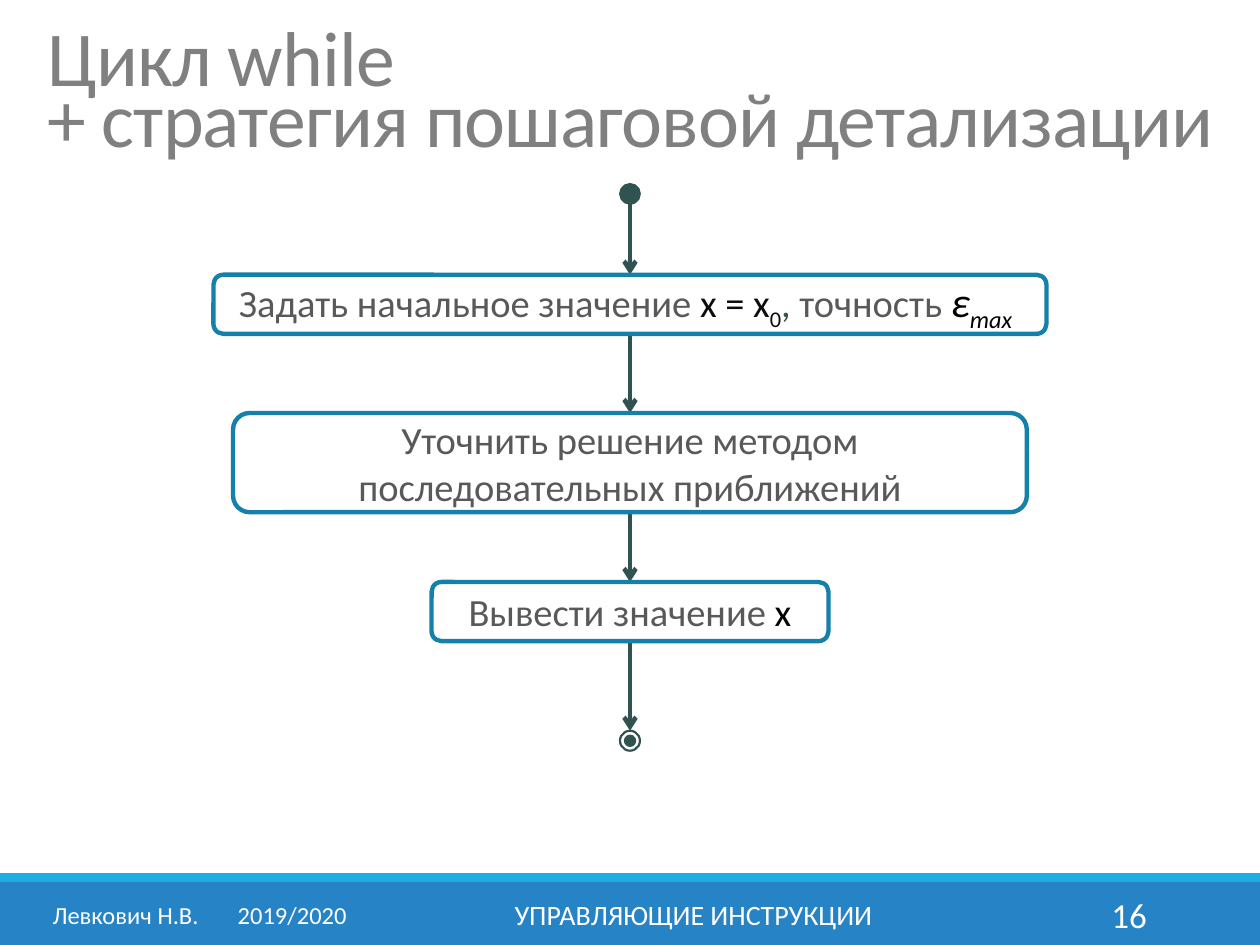
from pptx import Presentation
from pptx.util import Pt
from pptx.dml.color import RGBColor
from pptx.enum.shapes import MSO_SHAPE as SHAPE, MSO_CONNECTOR as CONN
from pptx.enum.text import PP_ALIGN as ALIGN, MSO_ANCHOR as ANCHOR
from pptx.oxml.ns import qn
from lxml.etree import SubElement

COLORS = {
    "white": "FFFFFF", "black": "000000", "near_black": "0D0D0D",
    "title": "808080", "text": "595959", "dark": "305250",
    "border": "1580A9", "footer": "2683C6", "stripe": "1CADE4",
}
FONT = "Calibri"
CENTER = 360

prs = Presentation()
prs.slide_width, prs.slide_height = Pt(720), Pt(540)
s = prs.slides.add_slide(prs.slide_layouts[6])


def add_shape(kind, x, y, w, h, fill=None, line=None, width=1.25):
    sp = s.shapes.add_shape(kind, Pt(x), Pt(y), Pt(w), Pt(h))
    sp.shadow.inherit = False
    if fill:
        sp.fill.solid()
        sp.fill.fore_color.rgb = RGBColor.from_string(COLORS[fill])
    else:
        sp.fill.background()
    if line:
        sp.line.color.rgb = RGBColor.from_string(COLORS[line])
        sp.line.width = Pt(width)
    else:
        sp.line.fill.background()
    return sp


def add_text(sp, runs, align):
    """Each run is (text, size, color, subscript, italic); "\n" breaks the line."""
    tf = sp.text_frame
    tf.word_wrap = True
    tf.vertical_anchor = ANCHOR.MIDDLE
    p = tf.paragraphs[0]
    p.alignment = align
    for text, size, color, sub, italic in runs:
        for i, part in enumerate(text.split("\n")):
            if i:
                p.add_line_break()
            r = p.add_run()
            r.text = part
            r.font.name = FONT
            r.font.size = Pt(size)
            r.font.italic = italic
            r.font.color.rgb = RGBColor.from_string(COLORS[color])
            if sub:
                r._r.get_or_add_rPr().set("baseline", "-25000")
    return p


# Footer bands
add_shape(SHAPE.RECTANGLE, 0, 504, 720, 36, "footer")
add_shape(SHAPE.RECTANGLE, 0, 499, 720, 5, "stripe")

# Title
box = s.shapes.add_textbox(Pt(20), Pt(15.1), Pt(686.4), Pt(82.8))
p = add_text(box, [("Цикл while\n+ стратегия пошаговой детализации",
                    44.4, "title", False, False)], ALIGN.LEFT)
p.line_spacing = 0.65
for r in p.runs:
    r._r.get_or_add_rPr().set("spc", "-50")

# Arrows between the steps
for top, bottom in [(110.9, 157), (190.8, 236), (292.5, 332.6), (366.5, 417.6)]:
    line = s.shapes.add_connector(CONN.STRAIGHT, Pt(CENTER), Pt(top),
                                  Pt(CENTER), Pt(bottom))
    line.line.color.rgb = RGBColor.from_string(COLORS["dark"])
    line.line.width = Pt(2.5)
    SubElement(line.line._get_or_add_ln(), qn("a:tailEnd"), type="arrow")
    SubElement(line._element.spPr, qn("a:effectLst"))

# Start and end nodes
for y, d, fill in [(105.2, 11.2, "dark"), (420.4, 5.8, "dark"), (417.6, 11.4, None)]:
    add_shape(SHAPE.FLOWCHART_CONNECTOR, CENTER - d / 2, y, d, d, fill, "dark")

# Steps: top, width, height, runs
steps = [
    (157, 476, 33.8, [
        ("Задать начальное значение ", 22, "text", False, False),
        ("x = x", 22, "near_black", False, False),
        ("0", 22, "near_black", True, False),
        (", ", 22, "dark", False, False),
        ("точность ", 22, "text", False, False),
        ("ε", 24, "black", False, True),
        ("max", 24, "black", True, True),
        (" ", 22, "black", False, False)]),
    (236, 453.6, 56.7, [
        ("Уточнить решение методом\nпоследовательных приближений",
         22, "text", False, False)]),
    (332.6, 226.8, 33.8, [
        ("Вывести значение ", 22, "text", False, False),
        ("x", 22, "black", False, False)]),
]
for y, w, h, runs in steps:
    sp = add_shape(SHAPE.FLOWCHART_ALTERNATE_PROCESS, CENTER - w / 2, y, w, h,
                   "white", "border", 2.5)
    color = sp._element.spPr.find(qn("a:solidFill"))[0]
    SubElement(color, qn("a:alpha"), val="29000")
    add_text(sp, runs, ALIGN.CENTER)

# Footer text
footers = [
    (23, 188, "Левкович Н.В.\t2019/2020", 14, ALIGN.LEFT),
    (217.4, 357.8, "УПРАВЛЯЮЩИЕ ИНСТРУКЦИИ", 16, ALIGN.CENTER),
    (584.6, 77.8, "16", 20, ALIGN.RIGHT),
]
for x, w, text, size, align in footers:
    box = s.shapes.add_textbox(Pt(x), Pt(508.3), Pt(w), Pt(28.8))
    p = add_text(box, [(text, size, "white", False, False)], align)
    if "\t" in text:
        tabs = SubElement(p._p.get_or_add_pPr(), qn("a:tabLst"))
        SubElement(tabs, qn("a:tab"), pos=str(Pt(105.8)), algn="l")

prs.save("out.pptx")
